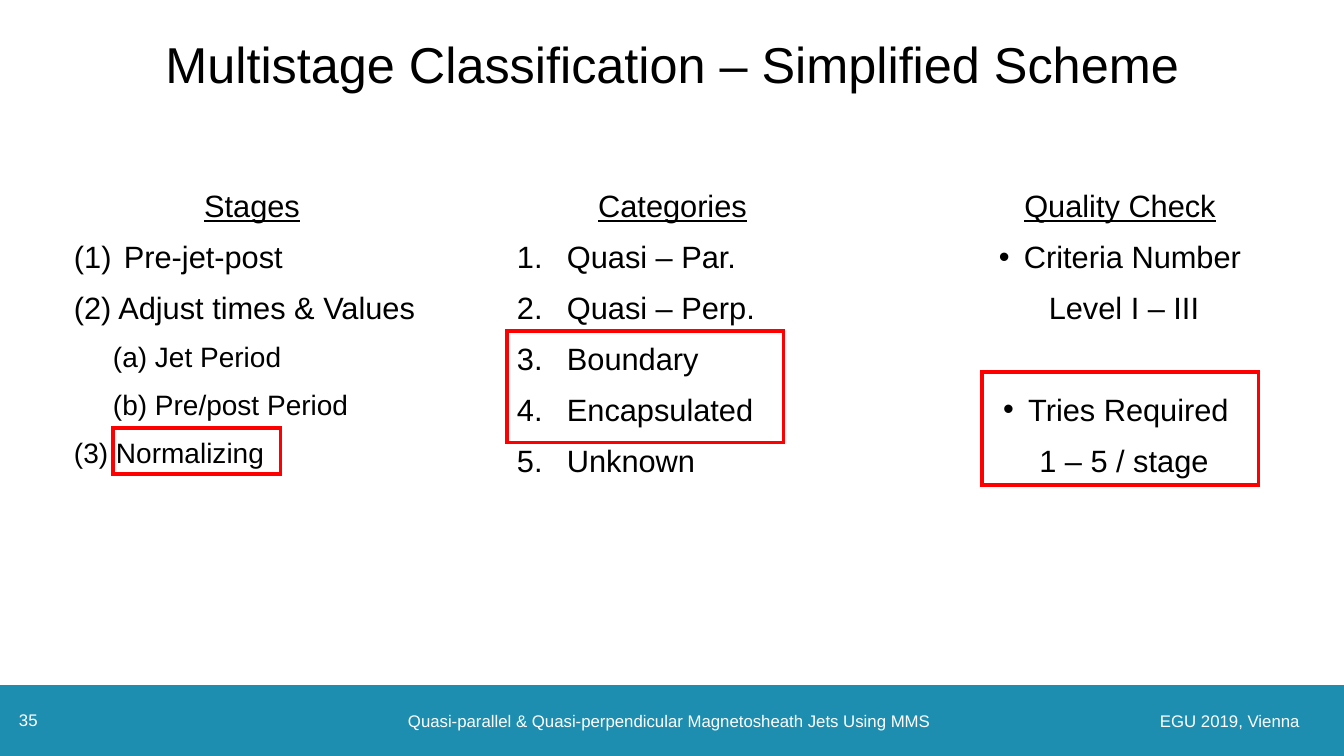
from lxml.etree import SubElement
from pptx import Presentation
from pptx.dml.color import RGBColor
from pptx.enum.shapes import MSO_SHAPE as Shape
from pptx.enum.text import MSO_ANCHOR as Anchor, PP_ALIGN as Align
from pptx.oxml.ns import qn
from pptx.util import Emu, Pt

SCALE = 914400 / 100.8
BLACK, WHITE, TEAL, RED = "000000", "FFFFFF", "1D8DB0", "FF0000"


def px(length):
    return Emu(round(length * SCALE))


def color(value):
    return RGBColor.from_string(value)


deck = Presentation()
deck.slide_width, deck.slide_height = px(1344), px(756)
page = deck.slides.add_slide(deck.slide_layouts[6])

band = page.shapes.add_shape(Shape.RECTANGLE, px(0), px(685), px(1344), px(71))
band.shadow.inherit = False
band.fill.solid()
band.fill.fore_color.rgb = color(TEAL)
band.line.fill.background()

labels = [
    ("Multistage Classification – Simplified Scheme", (64, 22, 1217, 82), 36, BLACK, Align.CENTER),
    ("35", (19, 705, 30, 30), 12, WHITE, Align.LEFT),
    ("Quasi-parallel & Quasi-perpendicular Magnetosheath\u00a0Jets Using MMS",
     (408, 685, 527, 72), 12, WHITE, Align.LEFT),
    ("EGU 2019, Vienna", (1160, 685, 184, 71), 12, WHITE, Align.LEFT),
]
for text, bounds, size, ink, align in labels:
    box = page.shapes.add_textbox(*map(px, bounds))
    frame = box.text_frame
    frame.word_wrap = True
    frame.vertical_anchor = Anchor.MIDDLE
    frame.margin_left = frame.margin_right = frame.margin_top = frame.margin_bottom = 0
    para = frame.paragraphs[0]
    para.text = text
    para.alignment = align
    para.font.name = "Arial"
    para.font.size = Pt(size)
    para.font.color.rgb = color(ink)

NUMBER = ("a:buAutoNum", "type", "arabicPeriod")
PAREN = ("a:buAutoNum", "type", "arabicParenBoth")
DOT = ("a:buChar", "char", "•")
PLAIN = ("a:buNone", None, None)

columns = [
    ("Stages", 64, 376, Align.LEFT, [
        ("Pre-jet-post", PAREN, 50, -50, 0, 22, 10),
        ("(2) Adjust times & Values", PLAIN, 0, 0, 0, 22, 10),
        ("(a) Jet Period", PLAIN, 39, 0, 0, 20, 10),
        ("(b) Pre/post Period", PLAIN, 39, 0, 0, 20, 10),
        ("(3) Normalizing", PLAIN, 0, 0, 0, 20, 10),
    ]),
    ("Categories", 507, 331, Align.LEFT, [
        (name, NUMBER, 50, -50, 0, 22, 10)
        for name in ("Quasi – Par.", "Quasi – Perp.", "Boundary", "Encapsulated", "Unknown")
    ]),
    ("Quality Check", 960, 320, Align.CENTER, [
        ("Criteria Number", DOT, 25, -25, 0, 22, 10),
        ("Level I – III", PLAIN, 8, 0, 0, 22, 10),
        ("Tries Required", DOT, 25, -25, 8, 22, 46.5),
        ("1 – 5 / stage", PLAIN, 8, 0, 0, 22, 10),
    ]),
]
for heading, left, width, align, items in columns:
    box = page.shapes.add_textbox(px(left), px(182), px(width), px(492))
    frame = box.text_frame
    frame.word_wrap = True
    lines = [(heading, PLAIN, 0, 0, 0, 22, 0)] + items
    for index, (text, bullet, margin, indent, right, size, before) in enumerate(lines):
        para = frame.paragraphs[0] if index == 0 else frame.add_paragraph()
        para.text = text
        para.alignment = align if index else Align.CENTER
        para.space_before = Pt(before)
        props = para._p.get_or_add_pPr()
        for key, value in (("marL", margin), ("marR", right), ("indent", indent)):
            props.set(key, str(px(value)))
        tag, key, value = bullet
        if bullet == DOT:
            SubElement(props, qn("a:buFont")).set("typeface", "Arial")
        mark = SubElement(props, qn(tag))
        if key:
            mark.set(key, value)
        para.font.name = "Arial"
        para.font.size = Pt(size)
        para.font.underline = index == 0
        para.font.color.rgb = color(BLACK)

for bounds in [(113, 428, 168, 46), (507, 331, 277, 112), (982, 372, 277, 113)]:
    outline = page.shapes.add_shape(Shape.RECTANGLE, *map(px, bounds))
    outline.shadow.inherit = False
    outline.fill.background()
    outline.line.color.rgb = color(RED)
    outline.line.width = Pt(2.25)
    SubElement(outline.line._get_or_add_ln(), qn("a:miter")).set("lim", "800000")

deck.save("out.pptx")
